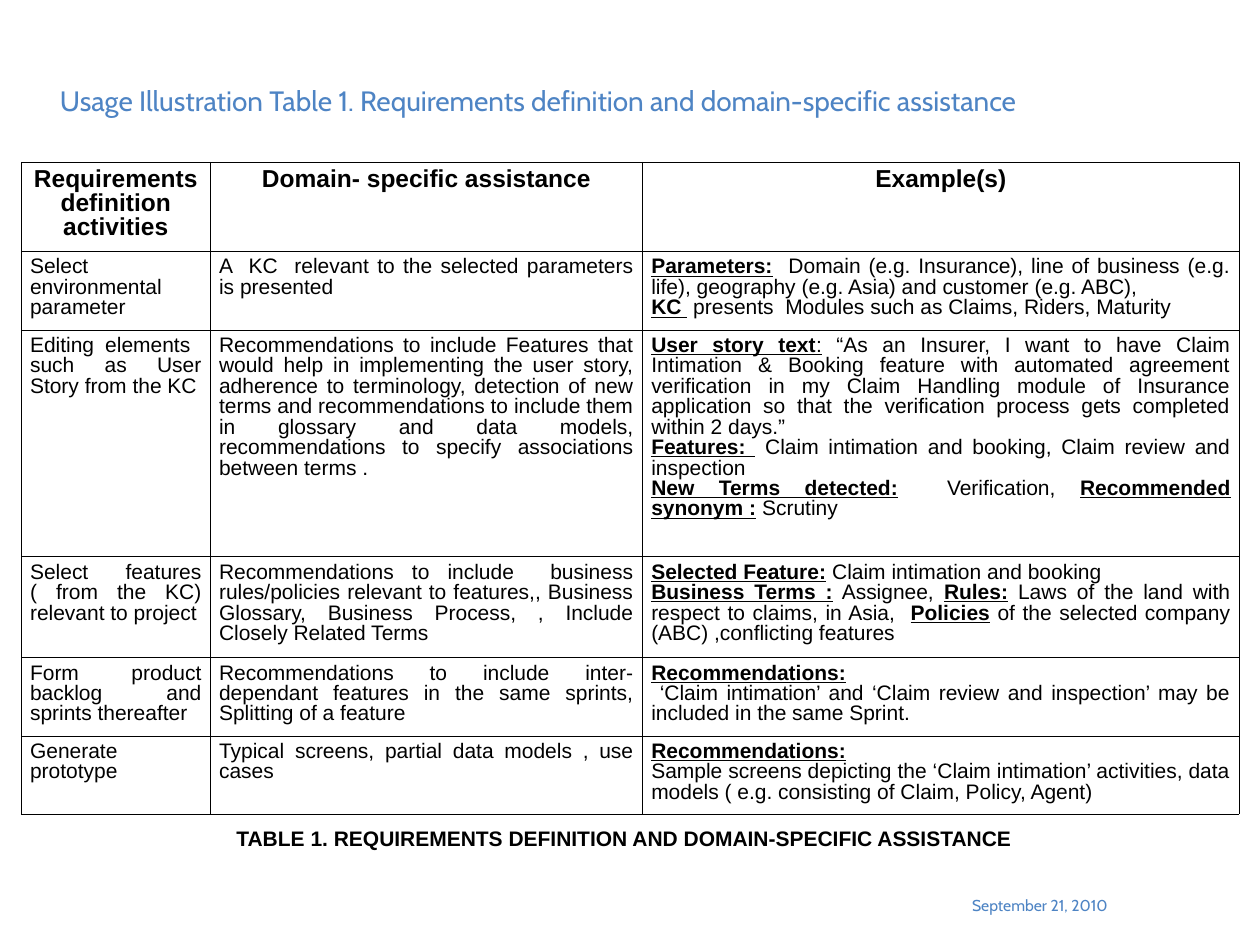
from lxml import etree
from pptx import Presentation
from pptx.dml.color import RGBColor
from pptx.enum.text import MSO_ANCHOR, MSO_AUTO_SIZE, PP_ALIGN
from pptx.oxml.ns import qn
from pptx.util import Pt

LEFT, CENTER, RIGHT, JUSTIFY = PP_ALIGN.LEFT, PP_ALIGN.CENTER, PP_ALIGN.RIGHT, PP_ALIGN.JUSTIFY
TOP, MIDDLE = MSO_ANCHOR.TOP, MSO_ANCHOR.MIDDLE
FIT_TEXT = MSO_AUTO_SIZE.SHAPE_TO_FIT_TEXT

BLUE = RGBColor(0x4E, 0x84, 0xC4)
BLACK = RGBColor(0, 0, 0)
WHITE = RGBColor(255, 255, 255)

TITLE = "Usage Illustration Table 1. Requirements definition and domain-specific assistance"
DATE = "September 21, 2010"
CAPTION = "TABLE 1. REQUIREMENTS DEFINITION AND DOMAIN-SPECIFIC ASSISTANCE"

# A span is (text, format); a cell is a plain string or a list of paragraphs of spans.
PLAIN = {"bold": False, "underline": False}
KEY = {"bold": True, "underline": True}
LINED = {"bold": False, "underline": True}

HEADINGS = ["Requirements definition activities", "Domain- specific assistance", "Example(s)"]
ROWS = [
    ["Select environmental parameter",
     "A  KC  relevant to the selected parameters is presented",
     [[("Parameters:", KEY),
       ("  Domain (e.g. Insurance), line of business (e.g. life), geography (e.g. Asia) "
        "and customer (e.g. ABC),", PLAIN)],
      [("KC ", KEY), (" presents  Modules such as Claims, Riders, Maturity", PLAIN)]]],
    ["Editing elements  such as User Story from the KC",
     "Recommendations to include Features that would help in implementing the user story, "
     "adherence to terminology, detection of new terms and recommendations to include them "
     "in glossary and data models, recommendations to specify associations between terms .",
     [[("User story text", KEY), (":", LINED),
       (" “As an Insurer, I want to have Claim Intimation & Booking feature with automated "
        "agreement verification in my Claim Handling module of Insurance application so that "
        "the verification process gets completed within 2 days.”", PLAIN)],
      [("Features: ", KEY),
       (" Claim intimation and booking, Claim review and inspection", PLAIN)],
      [("New Terms detected:", KEY), ("  Verification, ", PLAIN),
       ("Recommended synonym :", KEY), (" Scrutiny", PLAIN)]]],
    ["Select features ( from the KC) relevant to project",
     "Recommendations to include  business rules/policies relevant to features,, Business "
     "Glossary, Business Process, , Include Closely Related Terms",
     [[("Selected Feature:", KEY), (" Claim intimation and booking", PLAIN)],
      [("Business Terms :", KEY), (" Assignee, ", PLAIN), ("Rules:", KEY),
       (" Laws of the land with respect to claims, in Asia,  ", PLAIN), ("Policies", KEY),
       (" of the selected company (ABC) ,conflicting features", PLAIN)]]],
    ["Form product backlog and sprints thereafter",
     "Recommendations to include inter-dependant features in the same sprints, "
     "Splitting of a feature",
     [[("Recommendations:", KEY)],
      [(" ‘Claim intimation’ and ‘Claim review and inspection’ may be included in the "
        "same Sprint.", PLAIN)]]],
    ["Generate prototype",
     "Typical screens, partial data models , use cases",
     [[("Recommendations:", KEY)],
      [("Sample screens depicting the ‘Claim intimation’ activities, data models "
        "( e.g. consisting of Claim, Policy, Agent)", PLAIN)]]],
]

TABLE_LEFT, TABLE_TOP = 12.2, 92.5
COLUMN_WIDTHS = [108, 247, 341]
ROW_HEIGHTS = [50.4, 43.2, 129.6, 57.6, 43.2, 43.2]
LINE_SPACING = 0.87
BORDER_WIDTH = 0.11

HEADING_FONT = {"name": "Arial", "size": Pt(14), "bold": True}
BODY_FONT = {"name": "Arial", "size": Pt(12)}
CAPTION_FONT = {"name": "Arial", "size": Pt(12), "bold": True}
TITLE_FONT = {"name": "Cabin", "size": Pt(16)}
DATE_FONT = {"name": "Cabin", "size": Pt(9)}


def set_attributes(target, values):
    for name, value in values.items():
        setattr(target, name, value)


def add_span(para, text, color, *formats):
    span = para.add_run()
    span.text = text
    span.font.color.rgb = color
    for values in formats:
        set_attributes(span.font, values)


def add_label(slide, place, text, font, color, align=LEFT, anchor=TOP, wrap=True):
    box = slide.shapes.add_textbox(*(Pt(value) for value in place))
    frame = box.text_frame
    set_attributes(frame, {"word_wrap": wrap, "vertical_anchor": anchor})
    if not wrap:
        frame.auto_size = FIT_TEXT
    para = frame.paragraphs[0]
    para.alignment = align
    add_span(para, text, color, font)


def add_borders(cell):
    properties = cell._tc.get_or_add_tcPr()
    for side in ("lnL", "lnR", "lnT", "lnB"):
        line = etree.SubElement(properties, qn(f"a:{side}"), w=str(int(Pt(BORDER_WIDTH))))
        fill = etree.SubElement(line, qn("a:solidFill"))
        etree.SubElement(fill, qn("a:srgbClr"), val=str(BLACK))


def fill_cell(cell, content, font, align):
    set_attributes(cell, {"margin_left": Pt(5), "margin_right": Pt(5),
                          "margin_top": Pt(3.6), "margin_bottom": Pt(3.6)})
    add_borders(cell)
    cell.fill.solid()
    cell.fill.fore_color.rgb = WHITE
    paragraphs = [[(content, PLAIN)]] if isinstance(content, str) else content
    frame = cell.text_frame
    for index, spans in enumerate(paragraphs):
        para = frame.add_paragraph() if index else frame.paragraphs[0]
        set_attributes(para, {"alignment": align, "line_spacing": LINE_SPACING})
        for text, style in spans:
            add_span(para, text, BLACK, style, font)


def add_assistance_table(slide):
    grid = [HEADINGS] + ROWS
    table = slide.shapes.add_table(
        len(grid), len(HEADINGS), Pt(TABLE_LEFT), Pt(TABLE_TOP),
        Pt(sum(COLUMN_WIDTHS)), Pt(sum(ROW_HEIGHTS))).table
    set_attributes(table, {"first_row": False, "horz_banding": False})
    for column, width in zip(table.columns, COLUMN_WIDTHS):
        column.width = Pt(width)
    for row, height in zip(table.rows, ROW_HEIGHTS):
        row.height = Pt(height)
    for row_index, contents in enumerate(grid):
        font, align = (BODY_FONT, JUSTIFY) if row_index else (HEADING_FONT, CENTER)
        for column_index, content in enumerate(contents):
            fill_cell(table.cell(row_index, column_index), content, font, align)


def main():
    deck = Presentation()
    deck.slide_width, deck.slide_height = Pt(720), Pt(540)
    page = deck.slides.add_slide(deck.slide_layouts[6])
    add_label(page, (529, 508.5, 111, 25), DATE, DATE_FONT, BLUE, align=RIGHT)
    add_label(page, (27.2, 34, 664.5, 47), TITLE, TITLE_FONT, BLUE, anchor=MIDDLE)
    add_assistance_table(page)
    add_label(page, (128, 468, 460, 21.8), CAPTION, CAPTION_FONT, BLACK, wrap=False)
    deck.save("out.pptx")


if __name__ == "__main__":
    main()
